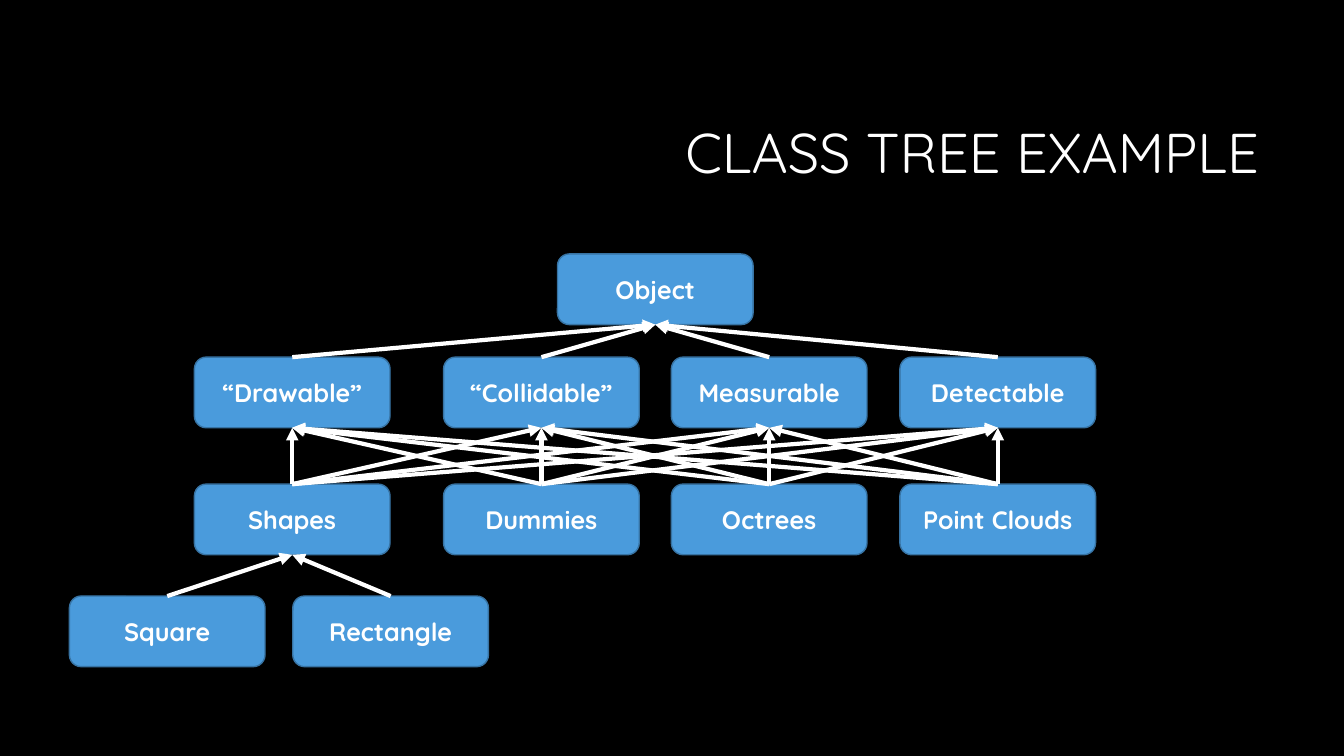
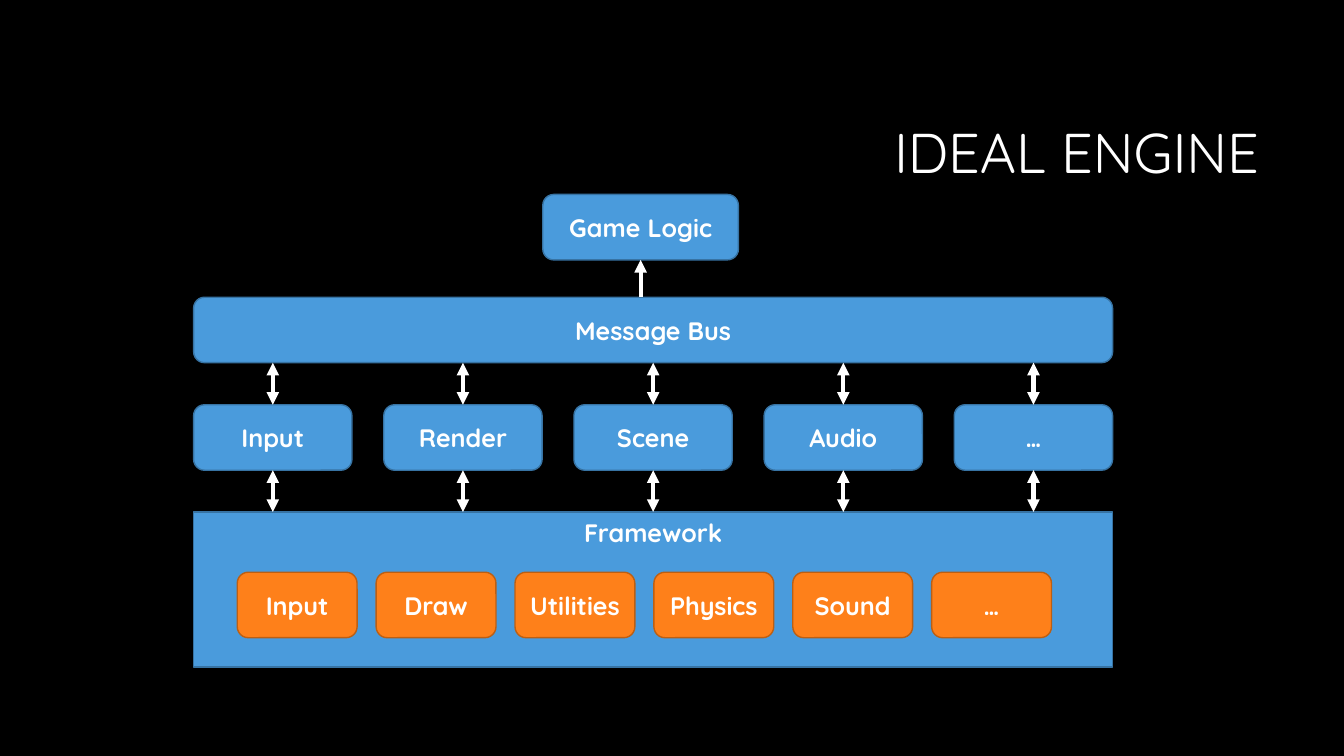
from itertools import product

from lxml.etree import SubElement
from pptx import Presentation
from pptx.dml.color import RGBColor
from pptx.enum.shapes import MSO_CONNECTOR, MSO_SHAPE
from pptx.enum.text import MSO_ANCHOR, PP_ALIGN
from pptx.oxml.ns import qn
from pptx.util import Cm, Pt

FONT = "Quicksand"
BLACK = "000000"
WHITE = "FFFFFF"
BLUE = ("4A9BDC", "3773A3")
ORANGE = ("FE801A", "BC5F13")


def color(hex_text):
    """Turn a hex string into a colour."""
    return RGBColor.from_string(hex_text)


def write(shape, text, size, bold, alignment, anchor):
    """Put one styled paragraph into a shape."""
    frame = shape.text_frame
    frame.word_wrap = True
    frame.vertical_anchor = anchor
    paragraph = frame.paragraphs[0]
    paragraph.text = text
    paragraph.alignment = alignment
    paragraph.font.name = FONT
    paragraph.font.size = Pt(size)
    paragraph.font.bold = bold
    paragraph.font.color.rgb = color(WHITE)
    return paragraph


def add_titled_slide(presentation, title):
    """Add a black slide with a right-aligned title."""
    slide = presentation.slides.add_slide(presentation.slide_layouts[6])
    slide.background.fill.solid()
    slide.background.fill.fore_color.rgb = color(BLACK)
    box = slide.shapes.add_textbox(Cm(8.05), Cm(2.13), Cm(23.93), Cm(3.58))
    paragraph = write(box, title, 40, False, PP_ALIGN.RIGHT, MSO_ANCHOR.MIDDLE)
    paragraph.line_spacing = 0.9
    return slide


def add_node(slide, text, left, top, width, height, colors=BLUE,
             kind=MSO_SHAPE.ROUNDED_RECTANGLE, anchor=MSO_ANCHOR.MIDDLE):
    """Add a labelled box, measured in centimetres."""
    shape = slide.shapes.add_shape(kind, Cm(left), Cm(top), Cm(width), Cm(height))
    shape.shadow.inherit = False
    fill, outline = colors
    shape.fill.solid()
    shape.fill.fore_color.rgb = color(fill)
    shape.line.color.rgb = color(outline)
    shape.line.width = Pt(1)
    write(shape, text, 18, True, PP_ALIGN.CENTER, anchor)
    return shape


def middle(shape):
    """Return the horizontal centre of a shape."""
    return shape.left + shape.width // 2


def add_arrow(slide, lower, upper, x=None, two_way=False):
    """Draw an arrow up from one box to another, joined at side middles."""
    begin_x = middle(lower) if x is None else x
    end_x = middle(upper) if x is None else x
    connector = slide.shapes.add_connector(
        MSO_CONNECTOR.STRAIGHT, begin_x, lower.top, end_x, upper.top + upper.height)
    if abs(begin_x - middle(lower)) < Cm(0.05):
        connector.begin_connect(lower, 0)
    if abs(end_x - middle(upper)) < Cm(0.05):
        connector.end_connect(upper, 2)
    connector.line.color.rgb = color(WHITE)
    connector.line.width = Pt(3)
    properties = connector._element.spPr
    line = properties.find(qn("a:ln"))
    for end in ("a:headEnd", "a:tailEnd") if two_way else ("a:tailEnd",):
        SubElement(line, qn(end), type="triangle")
    SubElement(properties, qn("a:effectLst"))


def add_class_tree(slide, left, top):
    """Draw the four-level class tree from its top left corner."""
    columns = (3.15, 9.43, 15.17, 20.93)

    def add_level(names, offsets, drop):
        """Add one row of classes."""
        return [add_node(slide, name, left + offset, top + drop, 4.93, 1.78)
                for name, offset in zip(names, offsets)]

    root = add_level(["Object"], [12.3], 0)
    traits = add_level(["“Drawable”", "“Collidable”", "Measurable", "Detectable"],
                       columns, 2.6)
    kinds = add_level(["Shapes", "Dummies", "Octrees", "Point Clouds"], columns, 5.8)
    figures = add_level(["Square", "Rectangle"], [0, 5.63], 8.62)
    for children, parents in ((traits, root), (kinds, traits), (figures, kinds[:1])):
        for child, parent in product(children, parents):
            add_arrow(slide, child, parent)


def add_framework(slide, left, top, width):
    """Draw the framework panel with its row of parts."""
    panel = add_node(slide, "Framework", left, top, width, 3.91,
                     kind=MSO_SHAPE.RECTANGLE, anchor=MSO_ANCHOR.TOP)
    names = ("Input", "Draw", "Utilities", "Physics", "Sound", "…")
    for index, name in enumerate(names):
        add_node(slide, name, left + 1.1 + 3.5 * index, top + 1.52, 3.02, 1.65, ORANGE)
    return panel


def add_engine(slide, left, top, width):
    """Draw the engine layers from their top left corner."""
    height = 1.65
    module_width = 3.99
    logic = add_node(slide, "Game Logic", left + 8.8, top, 4.93, height)
    bus = add_node(slide, "Message Bus", left, top + 2.59, width, height)
    add_arrow(slide, bus, logic, middle(logic))
    framework = add_framework(slide, left, top + 8, width)
    names = ("Input", "Render", "Scene", "Audio", "…")
    step = (width - module_width) / (len(names) - 1)
    for index, name in enumerate(names):
        module = add_node(slide, name, left + step * index, top + 5.3,
                          module_width, height)
        add_arrow(slide, module, bus, middle(module), two_way=True)
        add_arrow(slide, framework, module, middle(module), two_way=True)


def main():
    """Build and save the presentation."""
    presentation = Presentation()
    presentation.slide_width = Cm(33.87)
    presentation.slide_height = Cm(19.05)
    add_class_tree(add_titled_slide(presentation, "CLASS TREE EXAMPLE"), 1.75, 6.4)
    add_engine(add_titled_slide(presentation, "IDEAL ENGINE"), 4.88, 4.9, 23.16)
    presentation.save("out.pptx")


if __name__ == "__main__":
    main()
